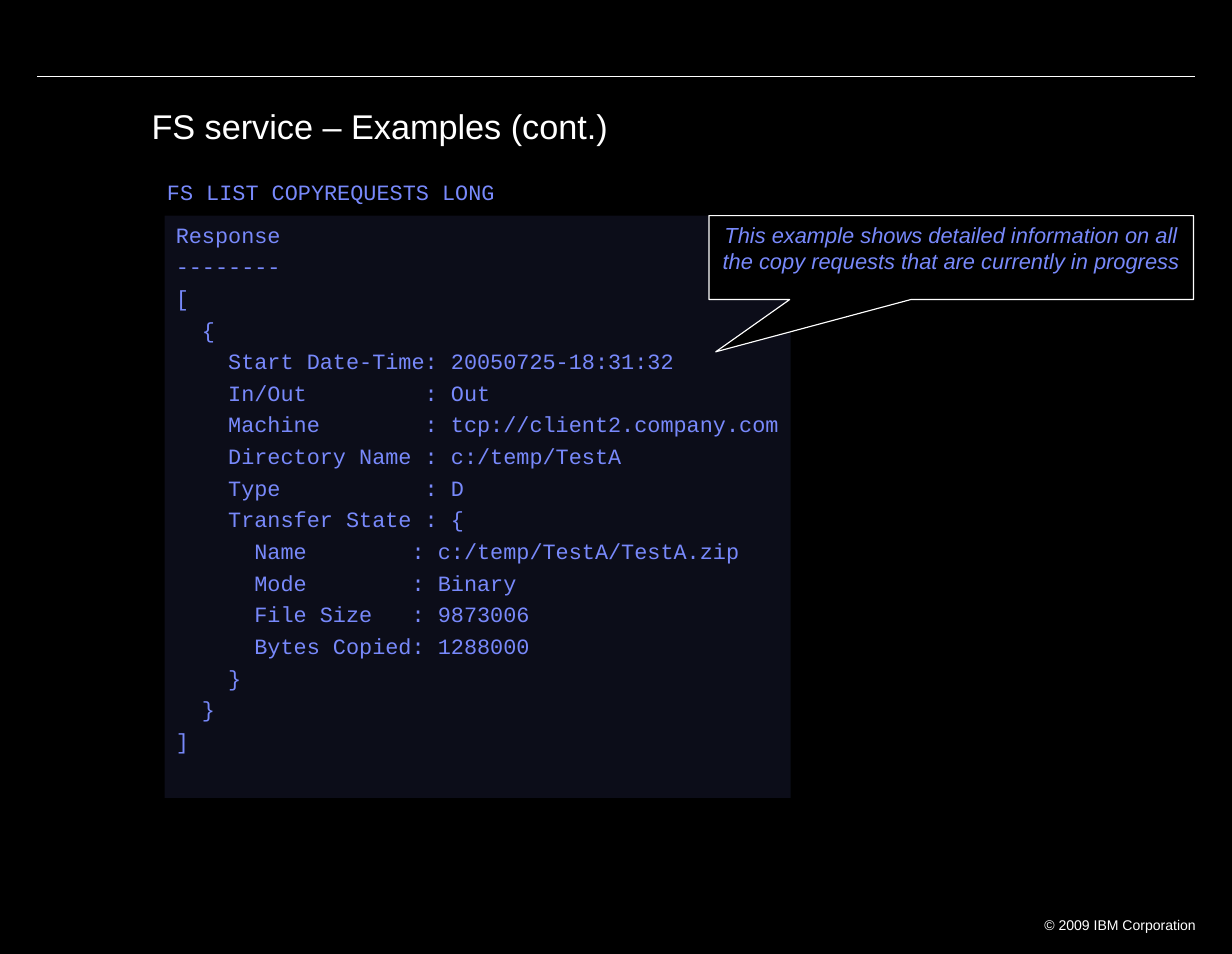
from dataclasses import dataclass
from lxml.etree import SubElement
from pptx import Presentation
from pptx.dml.color import RGBColor as RGB
from pptx.enum.shapes import MSO_CONNECTOR as LINK, MSO_SHAPE as SHAPE
from pptx.enum.text import MSO_ANCHOR as ANCHOR, MSO_AUTO_SIZE as AUTO, PP_ALIGN as ALIGN
from pptx.oxml.ns import qn
from pptx.util import Cm, Pt


@dataclass
class Theme:
    back: RGB = RGB(0x00, 0x00, 0x00)
    white: RGB = RGB(0xFF, 0xFF, 0xFF)
    blue: RGB = RGB(0x78, 0x89, 0xFB)
    sans: str = "Arial"
    mono: str = "Courier New"
    head: Pt = Pt(22)
    text: Pt = Pt(14)
    foot: Pt = Pt(9)
    rule: Pt = Pt(0.75)


theme = Theme()


def write(shape, text, face, size, color, pad=(0.25, 0.13), align=ALIGN.LEFT, gap=0, wrap=True):
    frame = shape.text_frame
    frame.text = text
    frame.word_wrap = wrap
    frame.auto_size = AUTO.NONE
    frame.vertical_anchor = ANCHOR.TOP
    frame.margin_left = frame.margin_right = Cm(pad[0])
    frame.margin_top = frame.margin_bottom = Cm(pad[1])
    for para in frame.paragraphs:
        para.alignment = align
        para.space_before = Pt(0)
        para.space_after = Pt(gap)
        for run in para.runs:
            font = run.font
            font.name, font.size = face, size
            font.color.rgb = color
    return frame


deck = Presentation()
deck.slide_width, deck.slide_height = Cm(27.89), Cm(21.59)
slide = deck.slides.add_slide(deck.slide_layouts[5])
slide.background.fill.solid()
slide.background.fill.fore_color.rgb = theme.back
shapes = slide.shapes

rule = shapes.add_connector(LINK.STRAIGHT, Cm(0.84), Cm(1.73), Cm(27.05), Cm(1.73))
rule.line.color.rgb = theme.white
rule.line.width = theme.rule
SubElement(rule._element.spPr, qn("a:effectLst"))

title = shapes.title
title.left, title.top, title.width, title.height = Cm(3.15), Cm(2.34), Cm(24.6), Cm(1.57)
head = write(title, "FS service – Examples (cont.)", theme.sans, theme.head, theme.white, (0.28, 0.15))
head.paragraphs[0].line_spacing = 0.9

order = shapes.add_textbox(Cm(3.78), Cm(4.04), Cm(24), Cm(0.58))
write(order, "FS LIST COPYREQUESTS LONG", theme.mono, theme.text, theme.blue, (0, 0))

reply = """Response
--------
[
  {
    Start Date-Time: 20050725-18:31:32
    In/Out         : Out
    Machine        : tcp://client2.company.com
    Directory Name : c:/temp/TestA
    Type           : D
    Transfer State : {
      Name        : c:/temp/TestA/TestA.zip
      Mode        : Binary
      File Size   : 9873006
      Bytes Copied: 1288000
    }
  }
]"""
panel = shapes.add_shape(SHAPE.RECTANGLE, Cm(3.73), Cm(4.88), Cm(14.17), Cm(13.18))
panel.shadow.inherit = False
panel.fill.solid()
panel.fill.fore_color.rgb = theme.blue
tint = panel._element.spPr.find(qn("a:solidFill")).find(qn("a:srgbClr"))
SubElement(tint, qn("a:alpha"), val="10000")
panel.line.fill.background()
write(panel, reply, theme.mono, theme.text, theme.blue, gap=3.5, wrap=False)

note = shapes.add_shape(SHAPE.RECTANGULAR_CALLOUT, Cm(16.05), Cm(4.88), Cm(10.97), Cm(1.9))
note.adjustments[0], note.adjustments[1] = -0.486, 1.123
note.shadow.inherit = False
note.fill.solid()
note.fill.fore_color.rgb = theme.back
note.line.color.rgb = theme.white
note.line.width = theme.rule
words = "This example shows detailed information on all the copy requests that are currently in progress"
hint = write(note, words, theme.sans, theme.text, theme.blue, align=ALIGN.CENTER)
hint.paragraphs[0].runs[0].font.italic = True

foot = shapes.add_textbox(Cm(23.16), Cm(20.6), Cm(4.19), Cm(0.58))
write(foot, "© 2009 IBM Corporation", theme.sans, theme.foot, theme.white, (0.28, 0.15), ALIGN.RIGHT)

deck.save("out.pptx")
